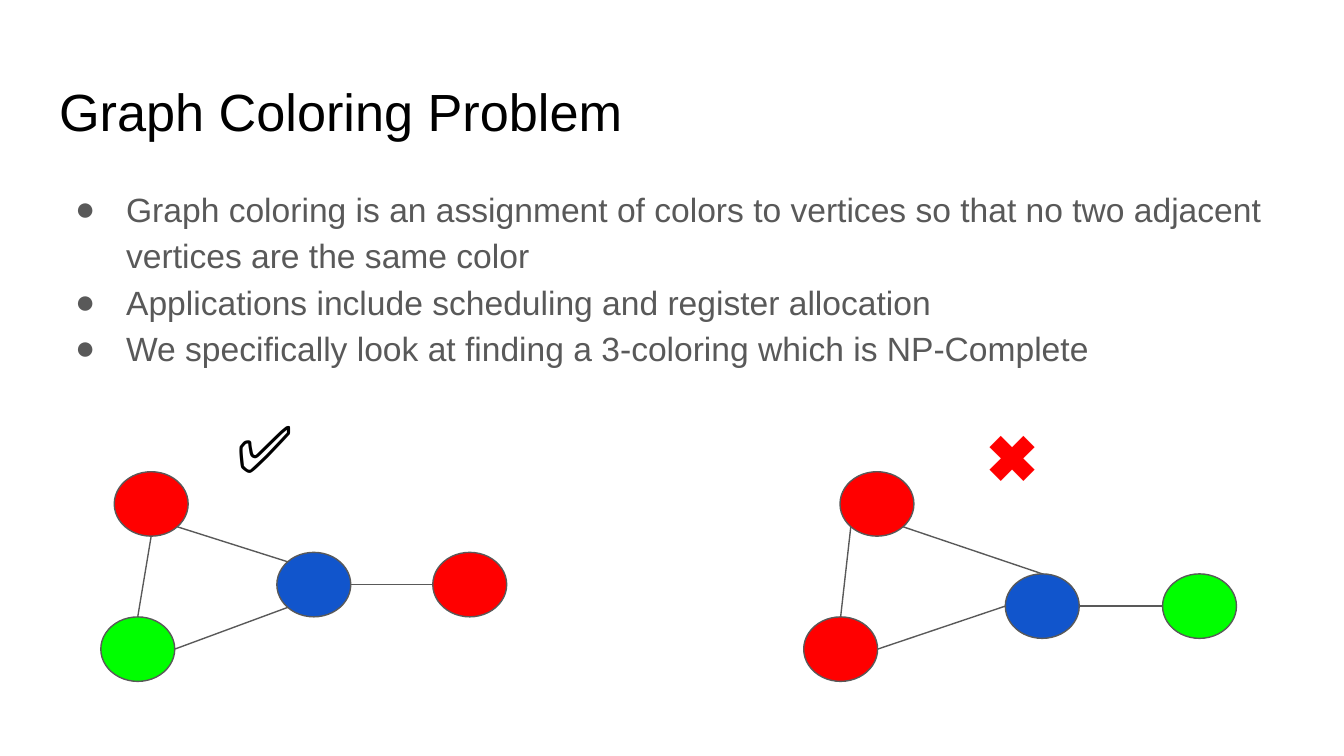
from lxml import etree
from pptx import Presentation
from pptx import util as u
from pptx.dml.color import RGBColor
from pptx.enum import shapes, text
from pptx.oxml.ns import qn

THEME = {
    "font": "Arial",
    "title": 28, "body": 18, "mark": 35, "line": 0.75,
    "black": "000000", "gray": "595959",
    "red": "FF0000", "green": "00FF00", "blue": "1155CC",
}

SLIDE_WIDTH = 10
SLIDE_HEIGHT = SLIDE_WIDTH * 9 / 16
TITLE = "Graph Coloring Problem"
TITLE_AREA = (0.34, 0.49, 9.32, 0.63)
BULLETS = [
    "Graph coloring is an assignment of colors to vertices so that no two adjacent vertices are the same color",
    "Applications include scheduling and register allocation",
    "We specifically look at finding a 3-coloring which is NP-Complete",
]
BODY_AREA = (0.34, 1.26, 9.32, 4.04)

VERTEX_SIZE = (0.55, 0.48)
MARK_SIZE = (1.04, 0.39)
GRAPHS = [
    {
        "mark": ("✅", "black", 1.66, 2.93),
        "vertices": {
            "top": ("red", 0.85, 3.51),
            "hub": ("blue", 2.06, 4.11),
            "low": ("green", 0.75, 4.59),
            "end": ("red", 3.22, 4.11),
        },
        "edges": [
            ("top", "SE", "hub", "NW"),
            ("hub", "SW", "low", "E"),
            ("top", "S", "low", "N"),
            ("hub", "E", "end", "W"),
        ],
    },
    {
        "mark": ("✖", "red", 7.24, 3.0),
        "vertices": {
            "top": ("red", 6.25, 3.51),
            "hub": ("blue", 7.48, 4.27),
            "low": ("red", 5.98, 4.59),
            "end": ("green", 8.65, 4.27),
        },
        "edges": [
            ("top", "SW", "low", "N"),
            ("low", "E", "hub", "W"),
            ("top", "SE", "hub", "N"),
            ("hub", "E", "end", "W"),
        ],
    },
]


def color(name):
    return RGBColor.from_string(THEME[name])


def inches(values):
    return [u.Inches(value) for value in values]


def add_bullet(para):
    props = para._p.get_or_add_pPr()
    props.set("marL", str(u.Inches(0.5)))
    props.set("indent", str(u.Inches(-0.38)))
    tint = etree.SubElement(props, qn("a:buClr"))
    etree.SubElement(tint, qn("a:srgbClr"), val=THEME["gray"])
    etree.SubElement(props, qn("a:buSzPts"), val=str(THEME["body"] * 100))
    etree.SubElement(props, qn("a:buFont"), typeface=THEME["font"])
    etree.SubElement(props, qn("a:buChar"), char="●")


def write(box, lines, size, ink, spacing=1.0, bullets=False):
    frame = box.text_frame
    frame.word_wrap = True
    frame.auto_size = text.MSO_AUTO_SIZE.NONE
    frame.vertical_anchor = text.MSO_ANCHOR.TOP
    frame.margin_left = frame.margin_right = u.Inches(0.1)
    frame.margin_top = frame.margin_bottom = u.Inches(0.1)
    for index, line in enumerate(lines):
        para = frame.add_paragraph() if index else frame.paragraphs[0]
        para.alignment = text.PP_ALIGN.LEFT
        para.line_spacing = spacing
        para.space_before = para.space_after = u.Pt(0)
        if bullets:
            add_bullet(para)
        span = para.add_run()
        span.text = line
        span.font.name = THEME["font"]
        span.font.size = u.Pt(THEME[size])
        span.font.color.rgb = color(ink)


def outline(shape):
    shape.line.color.rgb = color("gray")
    shape.line.width = u.Pt(THEME["line"])


def add_vertex(slide, fill, left, top):
    vertex = slide.shapes.add_shape(
        shapes.MSO_SHAPE.OVAL, *inches((left, top, *VERTEX_SIZE)))
    vertex.shadow.inherit = False
    vertex.fill.solid()
    vertex.fill.fore_color.rgb = color(fill)
    outline(vertex)


def rim_point(vertex, side):
    _, left, top = vertex
    width, height = VERTEX_SIZE
    across = ("E" in side) - ("W" in side)
    down = ("S" in side) - ("N" in side)
    reach = 0.5 / (across ** 2 + down ** 2) ** 0.5
    return left + width * (0.5 + across * reach), top + height * (0.5 + down * reach)


def add_edge(slide, start, end):
    edge = slide.shapes.add_connector(
        shapes.MSO_CONNECTOR.STRAIGHT, *inches((*start, *end)))
    outline(edge)
    etree.SubElement(edge._element.spPr, qn("a:effectLst"))


def add_graph(slide, graph):
    vertices = graph["vertices"]
    for vertex in vertices.values():
        add_vertex(slide, *vertex)
    for source, source_side, target, target_side in graph["edges"]:
        add_edge(slide, rim_point(vertices[source], source_side),
                 rim_point(vertices[target], target_side))
    symbol, ink, left, top = graph["mark"]
    box = slide.shapes.add_textbox(*inches((left, top, *MARK_SIZE)))
    write(box, [symbol], size="mark", ink=ink)


def main():
    deck = Presentation()
    deck.slide_width, deck.slide_height = inches((SLIDE_WIDTH, SLIDE_HEIGHT))
    page = deck.slides.add_slide(deck.slide_layouts[5])

    title = page.shapes.title
    title.left, title.top, title.width, title.height = inches(TITLE_AREA)
    write(title, [TITLE], size="title", ink="black")

    body = page.shapes.add_textbox(*inches(BODY_AREA))
    write(body, BULLETS, size="body", ink="gray", spacing=1.15, bullets=True)

    for graph in GRAPHS:
        add_graph(page, graph)
    deck.save("out.pptx")


if __name__ == "__main__":
    main()
